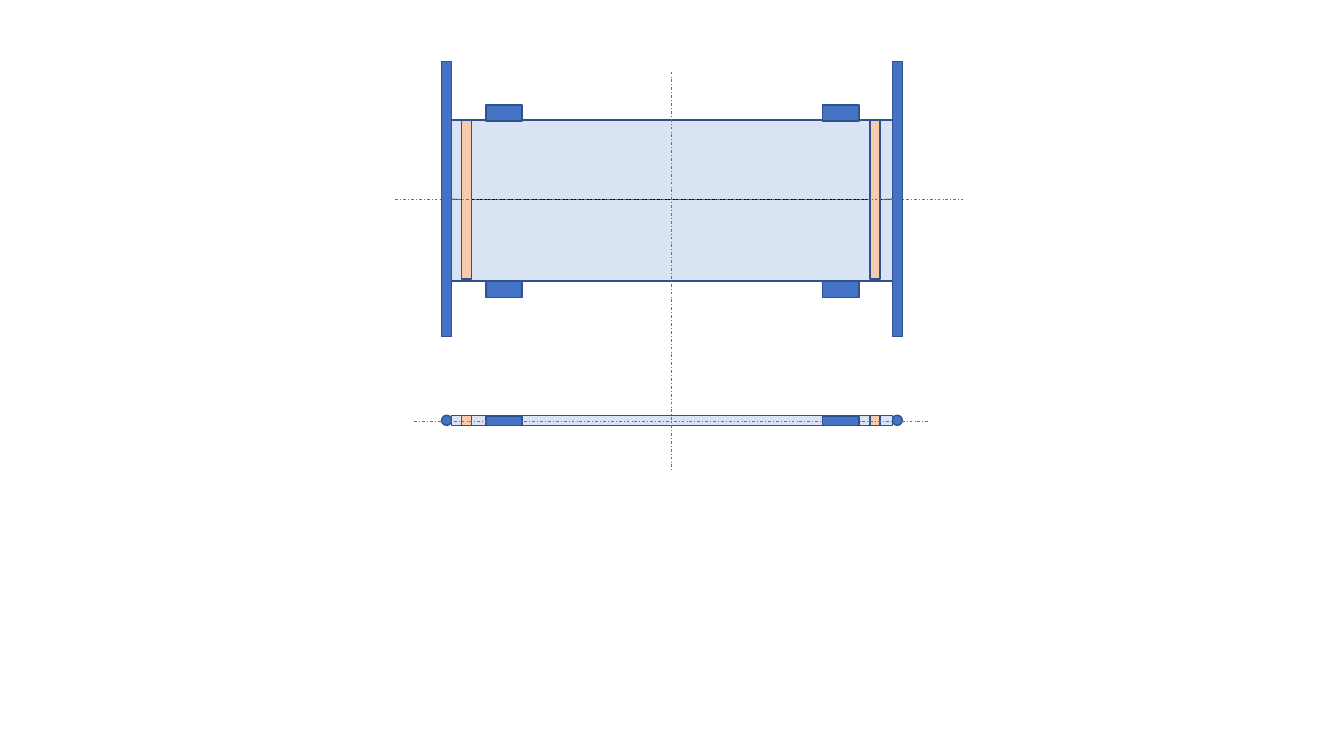
from pptx import Presentation
from pptx.dml.color import RGBColor
from pptx.enum.dml import MSO_LINE
from pptx.enum.shapes import MSO_CONNECTOR as CONN, MSO_SHAPE as SHAPE
from pptx.oxml.ns import qn
from pptx.util import Inches, Pt

BLUE, PALE, PEACH, EDGE, BLACK = "4472C4", "DAE3F3", "F8CBAD", "2F528F", "000000"
BAR_X = (4.38, 8.85)
BAND_X = (4.58, 8.63)
LUG_X = (4.82, 8.16)

prs = Presentation()
prs.slide_width, prs.slide_height = Inches(13.33), Inches(7.5)
s = prs.slides.add_slide(prs.slide_layouts[6])


def add_part(x, y, w, h, fill, kind=SHAPE.RECTANGLE):
    sp = s.shapes.add_shape(kind, Inches(x), Inches(y), Inches(w), Inches(h))
    sp.shadow.inherit = False
    sp.fill.solid()
    sp.fill.fore_color.rgb = RGBColor.from_string(fill)
    sp.line.color.rgb = RGBColor.from_string(EDGE)
    sp.line.width = Pt(1)
    return sp


def add_line(x1, y1, x2, y2, color):
    ln = s.shapes.add_connector(CONN.STRAIGHT, Inches(x1), Inches(y1), Inches(x2), Inches(y2))
    ln.line.color.rgb = RGBColor.from_string(color)
    ln.line.width = Pt(0.5)
    ln._element.spPr.add_effectLst() if hasattr(ln._element.spPr, "add_effectLst") else \
        ln._element.spPr.append(ln._element.spPr.makeelement(qn("a:effectLst"), {}))
    return ln


add_part(4.48, 1.19, 4.38, 1.6, PALE)
bars = [add_part(x, 0.61, 0.1, 2.73, BLUE) for x in BAR_X]
for x in LUG_X:
    for y in (1.04, 2.79):
        add_part(x, y, 0.36, 0.16, BLUE)
bands = [add_part(x, 1.19, 0.1, 1.58, PEACH) for x in BAND_X]

for x in BAR_X:
    add_part(x, 4.12, 0.1, 0.1, BLUE, SHAPE.OVAL)
add_part(4.48, 4.12, 4.37, 0.1, PALE)
for x in BAND_X:
    add_part(x, 4.12, 0.1, 0.1, PEACH)
for x in LUG_X:
    add_part(x, 4.13, 0.36, 0.09, BLUE)

for left, right in ((bars[0], bands[0]), (bands[0], bands[1]), (bands[1], bars[1])):
    seam = add_line(4.48, 1.98, 8.85, 1.98, BLACK)
    seam.begin_connect(left, 3)
    seam.end_connect(right, 1)

for ends in ((6.66, 0.71, 6.66, 4.66), (4.11, 4.18, 9.2, 4.18), (3.92, 1.98, 9.55, 1.98)):
    axis = add_line(*ends, BLUE)
    axis.line.dash_style = MSO_LINE.DASH_DOT

prs.save("out.pptx")
